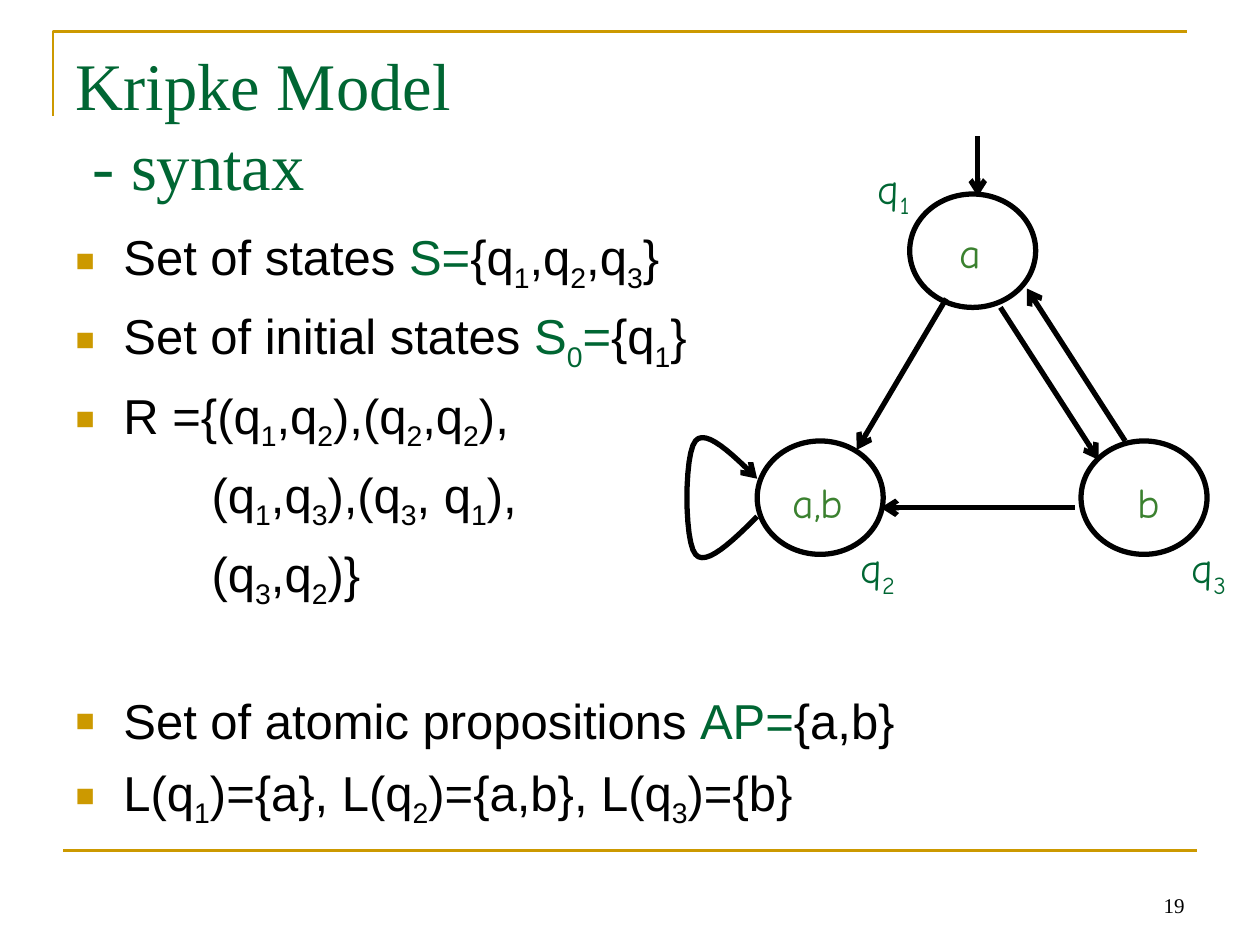
import pptx
import pptx.util
import pptx.dml.color
import pptx.enum.shapes
import pptx.enum.text
import pptx.oxml
import pptx.oxml.ns

PX = 9144  # 100 px to the inch

THEME = {
    "gold": "CC9900", "green": "006633", "leaf": "3B812F", "ink": "000000",
    "serif": "Times New Roman", "sans": "Arial", "hand": "Comic Neue",
    "title": 38, "body": 28, "label": 24, "number": 12,
    "rule": 1.5, "edge": 3, "line_spacing": 1.0,
}

# Content: "_" lowers the next character; True marks a key term
TITLE_LINES = ["Kripke Model", " - syntax"]
BULLET, CONTINUED = (38, -38), (108, 0)  # left margin, first-line indent
STATEMENTS = [  # indent, space before, segments
    (BULLET, 0, [("Set of states ", False), ("S=", True), ("{q_1,q_2,q_3}", False)]),
    (BULLET, 7, [("Set of initial states ", False), ("S_0=", True), ("{q_1}", False)]),
    (BULLET, 7, [("R ={(q_1,q_2),(q_2,q_2),", False)]),
    (CONTINUED, 7, [("(q_1,q_3),(q_3, q_1),", False)]),
    (CONTINUED, 7, [("(q_3,q_2)}", False)]),
    (BULLET, 46, [("Set of atomic propositions ", False), ("AP=", True), ("{a,b}", False)]),
    (BULLET, 7, [("L(q_1)={a}, L(q_2)={a,b}, L(q_3)={b}", False)]),
]
PAGE = "19"

# State diagram
STATE_SIZE = (100, 90)
STATES = [(722, 154), (601, 350), (858, 350)]
PROPOSITIONS = [("a", (752, 175, 50, 50), 10), ("a,b", (623, 373, 64, 50), 6),
                ("b", (893, 373, 50, 50), 10)]
STATE_NAMES = [("q_1", (687, 124, 64, 56)), ("q_2", (673, 425, 64, 56)),
               ("q_3", (936, 425, 64, 56))]
TRANSITIONS = [
    ((751, 237), (680, 357)),
    ((794, 244), (872, 365)),
    ((893, 350), (815, 229)),
    ((853, 403), (699, 403)),
    ((776, 108), (776, 156)),
]
LOOP_START = (601, 410)
LOOP_CURVES = [((581, 430), (560, 450), (552, 440)),
               ((543, 430), (543, 360), (552, 350)),
               ((560, 340), (581, 360), (601, 380))]
CURVE_STEPS = 12

# Frame
CORNER = [(42, 92), (42, 25), (942, 25)]
FOOT_RULE = ((50, 675), (950, 675))


def px(*values):
    return [round(v * PX) for v in values]


def rgb(name):
    return pptx.dml.color.RGBColor.from_string(THEME[name])


def add_xml(parent, tag, **attributes):
    child = pptx.oxml.parse_xml(f"<a:{tag} {pptx.oxml.ns.nsdecls('a')}/>")
    for key, value in attributes.items():
        child.set(key, value)
    parent.append(child)
    return child


def add_run(paragraph, text, font, size, color, lowered=False):
    run = paragraph.add_run()
    run.text = text
    run.font.name = THEME[font]
    run.font.size = pptx.util.Pt(THEME[size])
    run.font.color.rgb = rgb(color)
    if lowered:
        run.font._element.set("baseline", "-25000")


def add_formula(paragraph, text, font, size, color):
    first, *rest = text.split("_")
    add_run(paragraph, first, font, size, color)
    for piece in rest:
        add_run(paragraph, piece[0], font, size, color, lowered=True)
        if piece[1:]:
            add_run(paragraph, piece[1:], font, size, color)


def place(placeholder, left, top, width, height):
    placeholder.left, placeholder.top, placeholder.width, placeholder.height = px(
        left, top, width, height)
    frame = placeholder.text_frame
    frame.word_wrap = True
    frame.auto_size = pptx.enum.text.MSO_AUTO_SIZE.NONE
    frame.vertical_anchor = pptx.enum.text.MSO_ANCHOR.TOP
    return frame


def stroke(shape, color, width, arrow=False):
    shape.line.color.rgb = rgb(color)
    shape.line.width = pptx.util.Pt(THEME[width])
    if arrow:
        add_xml(shape.get_or_add_ln(), "tailEnd", type="arrow")


def add_line(start, end, color, width, arrow=False):
    line = slide.shapes.add_connector(
        pptx.enum.shapes.MSO_CONNECTOR.STRAIGHT, *px(*start, *end))
    stroke(line, color, width, arrow)
    add_xml(line._element.spPr, "effectLst")


def add_outline(points, color, width, arrow=False):
    first, *rest = [px(*point) for point in points]
    builder = slide.shapes.build_freeform(*first)
    builder.add_line_segments(rest, close=False)
    outline = builder.convert_to_shape()
    outline.shadow.inherit = False
    outline.fill.background()
    stroke(outline, color, width, arrow)


def add_label(text, box, font, size, color, side_inset=10):
    frame = slide.shapes.add_textbox(*px(*box)).text_frame
    frame.word_wrap = True
    frame.margin_left = frame.margin_right = px(side_inset)[0]
    add_formula(frame.paragraphs[0], text, font, size, color)
    return frame


def curve_points(start, curves):
    points = [start]
    for c1, c2, end in curves:
        for step in range(1, CURVE_STEPS + 1):
            t = step / CURVE_STEPS
            weights = ((1 - t) ** 3, 3 * t * (1 - t) ** 2, 3 * t * t * (1 - t), t ** 3)
            corners = (start, c1, c2, end)
            points.append(tuple(sum(w * p[axis] for w, p in zip(weights, corners))
                                for axis in (0, 1)))
        start = end
    return points


deck = pptx.Presentation()
deck.slide_width, deck.slide_height = px(1000, 750)
slide = deck.slides.add_slide(deck.slide_layouts[1])

# Frame and page number
add_outline(CORNER, "gold", "rule")
add_line(*FOOT_RULE, "gold", "rule")
page = add_label(PAGE, (717, 683, 233, 50), "serif", "number", "ink")
page.vertical_anchor = pptx.enum.text.MSO_ANCHOR.BOTTOM
page.paragraphs[0].alignment = pptx.enum.text.PP_ALIGN.RIGHT

# Title
heading = place(slide.shapes.title, 50, 30, 900, 125).paragraphs[0]
heading.alignment = pptx.enum.text.PP_ALIGN.LEFT
heading.line_spacing = THEME["line_spacing"]
for number, text in enumerate(TITLE_LINES):
    if number:
        heading.add_line_break()
    add_run(heading, text, "serif", "title", "green")

# Model definition
definition = place(slide.placeholders[1], 50, 175, 917, 495)
for number, (indent, before, segments) in enumerate(STATEMENTS):
    statement = definition.add_paragraph() if number else definition.paragraphs[0]
    properties = statement._p.get_or_add_pPr()
    margin, first_line = px(*indent)
    properties.set("marL", str(margin))
    properties.set("indent", str(first_line))
    if indent == BULLET:
        add_xml(add_xml(properties, "buClr"), "srgbClr", val=THEME["gold"])
        add_xml(properties, "buSzPct", val="65000")
        add_xml(properties, "buFont", typeface=THEME["sans"])
        add_xml(properties, "buChar", char="■")
    else:
        add_xml(properties, "buNone")
    statement.line_spacing = THEME["line_spacing"]
    statement.space_before = pptx.util.Pt(before)
    for text, is_key in segments:
        add_formula(statement, text, "sans", "body", "green" if is_key else "ink")

# States, transitions and labels
for corner in STATES:
    state = slide.shapes.add_shape(
        pptx.enum.shapes.MSO_SHAPE.OVAL, *px(*corner, *STATE_SIZE))
    state.shadow.inherit = False
    state.fill.background()
    stroke(state, "ink", "edge")
for start, end in TRANSITIONS:
    add_line(start, end, "ink", "edge", arrow=True)
add_outline(curve_points(LOOP_START, LOOP_CURVES), "ink", "edge", arrow=True)
for text, box, inset in PROPOSITIONS:
    add_label(text, box, "hand", "label", "leaf", inset)
for text, box in STATE_NAMES:
    add_label(text, box, "hand", "label", "green")

deck.save("out.pptx")
